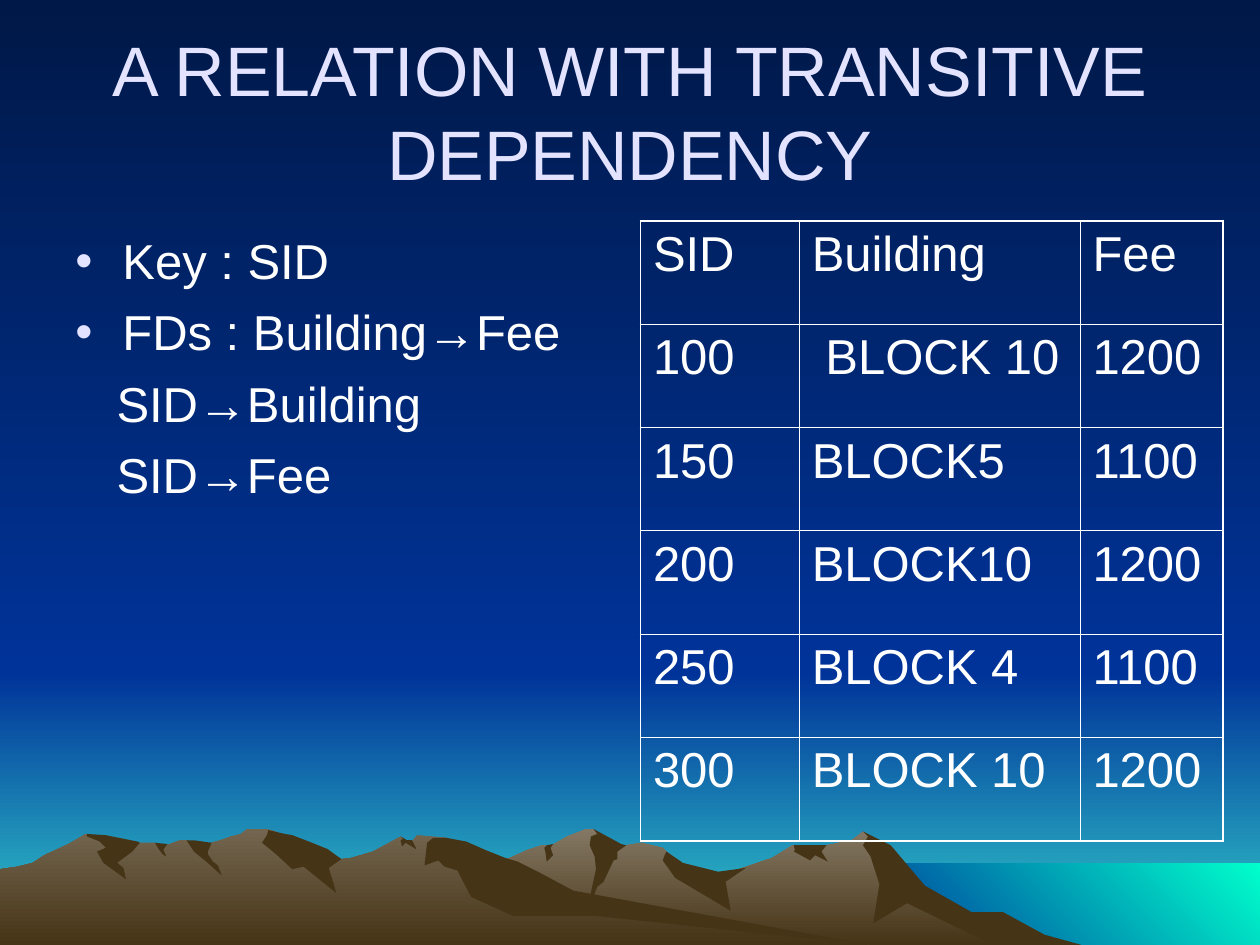
import pptx
import pptx.dml.color
import pptx.enum.shapes
import pptx.enum.text
import pptx.oxml
import pptx.oxml.ns
import pptx.util

Cm = pptx.util.Cm
Pt = pptx.util.Pt
RGB = pptx.dml.color.RGBColor

NIGHT = RGB(0x00, 0x18, 0x47)
BLUE = RGB(0x00, 0x33, 0x99)
HORIZON = RGB(0x33, 0xCC, 0xCC)
SEA_GREEN = RGB(0x00, 0xFF, 0xCC)
EARTH = RGB(0x46, 0x34, 0x16)
RIGHT_CREST = RGB(0x84, 0x78, 0x64)
LEFT_CREST = RGB(0x73, 0x65, 0x4F)
LAVENDER = RGB(0xE3, 0xE3, 0xFF)
WHITE = RGB(0xFF, 0xFF, 0xFF)

FONT = "Arial"
DOWN, UP_RIGHT = 270, 45
GRID = Cm(2.54) / 100  # mountain points lie on a grid of 1/100 inch

RIGHT_RIDGE = [
    (802, 82), (778, 69), (764, 65), (723, 40), (702, 13), (685, 2), (676, 9),
    (656, 13), (629, 13), (613, 23), (566, 39), (536, 32), (529, 18), (526, 15),
    (509, 11), (497, 13), (486, 15), (474, 3), (471, 0), (465, 0), (450, 6),
    (438, 13), (430, 13), (418, 17), (405, 23), (395, 26), (355, 40), (327, 51),
    (277, 81), (258, 92), (821, 92)]
RIGHT_SHADOWS = [
    [(796, 66), (771, 66), (734, 45), (707, 13), (685, 2), (689, 6), (685, 13),
     (691, 22), (698, 44), (693, 75), (720, 59), (788, 92), (858, 92), (829, 84)],
    [(471, 0), (474, 4), (469, 6), (468, 13), (472, 22), (473, 32), (465, 69),
     (474, 46), (479, 42), (487, 25), (490, 24), (490, 18), (497, 13), (493, 12)],
    [(529, 18), (528, 20), (526, 25), (536, 39), (580, 65), (576, 42), (592, 31),
     (570, 34), (542, 27)],
    [(650, 13), (630, 13), (631, 17), (630, 18), (643, 25), (647, 21), (657, 26),
     (652, 18), (656, 13)],
    [(433, 19), (432, 15), (434, 13), (439, 12), (437, 15), (439, 21), (434, 26)],
]
LEFT_RIDGE = [
    (690, 92), (667, 90), (432, 54), (354, 7), (331, 5), (327, 10), (323, 10),
    (318, 6), (296, 18), (279, 23), (271, 24), (260, 18), (236, 23), (223, 5),
    (219, 2), (212, 0), (196, 0), (191, 4), (183, 6), (178, 8), (168, 11),
    (160, 13), (148, 9), (143, 9), (132, 13), (128, 13), (123, 11), (111, 11),
    (94, 13), (68, 4), (56, 11), (50, 14), (35, 21), (26, 27), (14, 30), (0, 32),
    (0, 92)]
LEFT_SHADOWS = [
    [(212, 5), (208, 11), (219, 20), (232, 32), (241, 30), (267, 51), (261, 31),
     (271, 24), (260, 16), (245, 10), (232, 5), (226, 4), (213, 1)],
    [(370, 10), (354, 7), (344, 7), (339, 11), (337, 29), (348, 25), (353, 30),
     (363, 33), (374, 54), (407, 69), (472, 69), (690, 92), (455, 49), (427, 34),
     (411, 26), (401, 23), (386, 17)],
    [(318, 9), (320, 8), (318, 6), (323, 9), (327, 9), (330, 15), (330, 16),
     (322, 11), (319, 14)],
    [(154, 9), (168, 11), (165, 18), (165, 20), (169, 26), (173, 29), (176, 37),
     (165, 27), (154, 18), (148, 9)],
    [(133, 12), (130, 16), (130, 17), (132, 22), (129, 20), (126, 16), (123, 11)],
    [(109, 10), (111, 11), (105, 18), (93, 27), (98, 31), (100, 40), (82, 27),
     (77, 18), (84, 15), (79, 10), (69, 6), (69, 4), (84, 5), (94, 7)],
]

FACTS = [("Key : SID", True), ("FDs : Building→Fee", True),
         ("SID→Building", False), ("SID→Fee", False)]

FEES = [("SID", "Building", "Fee"), ("100", "BLOCK 10", "1200"),
        ("150", "BLOCK5", "1100"), ("200", "BLOCK10", "1200"),
        ("250", "BLOCK 4", "1100"), ("300", "BLOCK 10", "1200")]
FEE_WIDTHS = [Cm(3.2), Cm(5.66), Cm(2.88)]


def fill_gradient(fill, start, end, angle):
    fill.gradient()
    fill.gradient_angle = angle
    for stop, color, position in zip(fill.gradient_stops, (start, end), (0, 1)):
        stop.color.rgb = color
        stop.position = position


def add_text(paragraph, text, size, color):
    run = paragraph.add_run()
    run.text = text
    run.font.name = FONT
    run.font.size = Pt(size)
    run.font.color.rgb = color


def add_band(slide, box, start, end, angle):
    band = slide.shapes.add_shape(pptx.enum.shapes.MSO_SHAPE.RECTANGLE, *box)
    band.shadow.inherit = False
    band.line.fill.background()
    fill_gradient(band.fill, start, end, angle)


def add_outline(slide, left, top, points):
    builder = slide.shapes.build_freeform(*points[0], scale=GRID)
    builder.add_line_segments(points[1:], close=True)
    outline = builder.convert_to_shape(left, top)
    outline.shadow.inherit = False
    outline.line.fill.background()
    return outline


def add_mountains(slide, left, top):
    for crest, ridge, shadows in ((RIGHT_CREST, RIGHT_RIDGE, RIGHT_SHADOWS),
                                  (LEFT_CREST, LEFT_RIDGE, LEFT_SHADOWS)):
        fill_gradient(add_outline(slide, left, top, ridge).fill, crest, EARTH, DOWN)
        for points in shadows:
            shadow = add_outline(slide, left, top, points)
            shadow.fill.solid()
            shadow.fill.fore_color.rgb = EARTH


def add_landscape(slide, left, top, width, height):
    skyline, shore, peaks = Cm(13.55), Cm(17.4), Cm(16.71)
    sea_left = Cm(17.35)
    fill_gradient(slide.background.fill, NIGHT, BLUE, DOWN)
    add_band(slide, (left, top + skyline, width, height - skyline),
             BLUE, HORIZON, DOWN)
    add_band(slide, (left, top, width, skyline), NIGHT, BLUE, DOWN)
    add_band(slide, (left + sea_left, top + shore, width - sea_left, height - shore),
             BLUE, SEA_GREEN, UP_RIGHT)
    add_mountains(slide, left, top + peaks)


def place_title(slide, left, top, width, height):
    title = slide.shapes.title
    title.left, title.top, title.width, title.height = left, top, width, height
    frame = title.text_frame
    frame.word_wrap = True
    frame.auto_size = pptx.enum.text.MSO_AUTO_SIZE.NONE
    frame.vertical_anchor = pptx.enum.text.MSO_ANCHOR.MIDDLE
    heading = frame.paragraphs[0]
    heading.alignment = pptx.enum.text.PP_ALIGN.CENTER
    add_text(heading, "A RELATION WITH TRANSITIVE DEPENDENCY", 40, LAVENDER)
    # Bring the title in front of the landscape
    title.element.getparent().append(title.element)


def set_bullet(paragraph, color):
    properties = paragraph._p.get_or_add_pPr()
    properties.set("marL", str(Cm(0.95)))
    properties.set("indent", str(-Cm(0.95)))
    namespace = pptx.oxml.ns.nsdecls("a")
    for xml in (f'<a:buClr {namespace}><a:srgbClr val="{color}"/></a:buClr>',
                f'<a:buFont {namespace} typeface="{FONT}"/>',
                f'<a:buChar {namespace} char="•"/>'):
        properties.append(pptx.oxml.parse_xml(xml))


def add_facts(slide, left, top, width, height):
    frame = slide.shapes.add_textbox(left, top, width, height).text_frame
    frame.word_wrap = True
    for index, (text, bulleted) in enumerate(FACTS):
        fact = frame.add_paragraph() if index else frame.paragraphs[0]
        if bulleted:
            set_bullet(fact, LAVENDER)
        else:
            fact._p.get_or_add_pPr().set("marL", str(Cm(0.83)))
        if index:
            fact.space_before = Pt(7)
        add_text(fact, text, 28, WHITE)


def set_borders(cell, outer_sides):
    properties = cell._tc.get_or_add_tcPr()
    for side in "LRTB":
        width = Pt(1.08 if side in outer_sides else 0.45)
        properties.append(pptx.oxml.parse_xml(
            f'<a:ln{side} {pptx.oxml.ns.nsdecls("a")} w="{width}"><a:solidFill>'
            f'<a:srgbClr val="{WHITE}"/></a:solidFill></a:ln{side}>'))


def add_fee_table(slide, left, top, width, height):
    rows, columns = len(FEES), len(FEE_WIDTHS)
    table = slide.shapes.add_table(rows, columns, left, top, width, height).table
    table.first_row = table.horz_banding = False
    for column, column_width in zip(table.columns, FEE_WIDTHS):
        column.width = column_width
    for r, record in enumerate(FEES):
        for c, text in enumerate(record):
            cell = table.cell(r, c)
            edges = {"T": r == 0, "B": r == rows - 1, "L": c == 0, "R": c == columns - 1}
            set_borders(cell, [side for side, outer in edges.items() if outer])
            cell.fill.background()
            add_text(cell.text_frame.paragraphs[0], text, 28, WHITE)
    # The first building stands slightly indented
    table.cell(1, 1).margin_left = Cm(0.53)


def main():
    deck = pptx.Presentation()
    deck.slide_width, deck.slide_height = Cm(25.4), Cm(19.05)
    slide = deck.slides.add_slide(deck.slide_layouts[5])
    add_landscape(slide, 0, 0, deck.slide_width, deck.slide_height)
    place_title(slide, Cm(1.27), Cm(0.64), Cm(22.86), Cm(3.18))
    add_facts(slide, Cm(1.27), Cm(4.53), Cm(11.23), Cm(12.4))
    add_fee_table(slide, Cm(12.91), Cm(4.45), sum(FEE_WIDTHS), Cm(12.5))
    deck.save("out.pptx")


if __name__ == "__main__":
    main()
